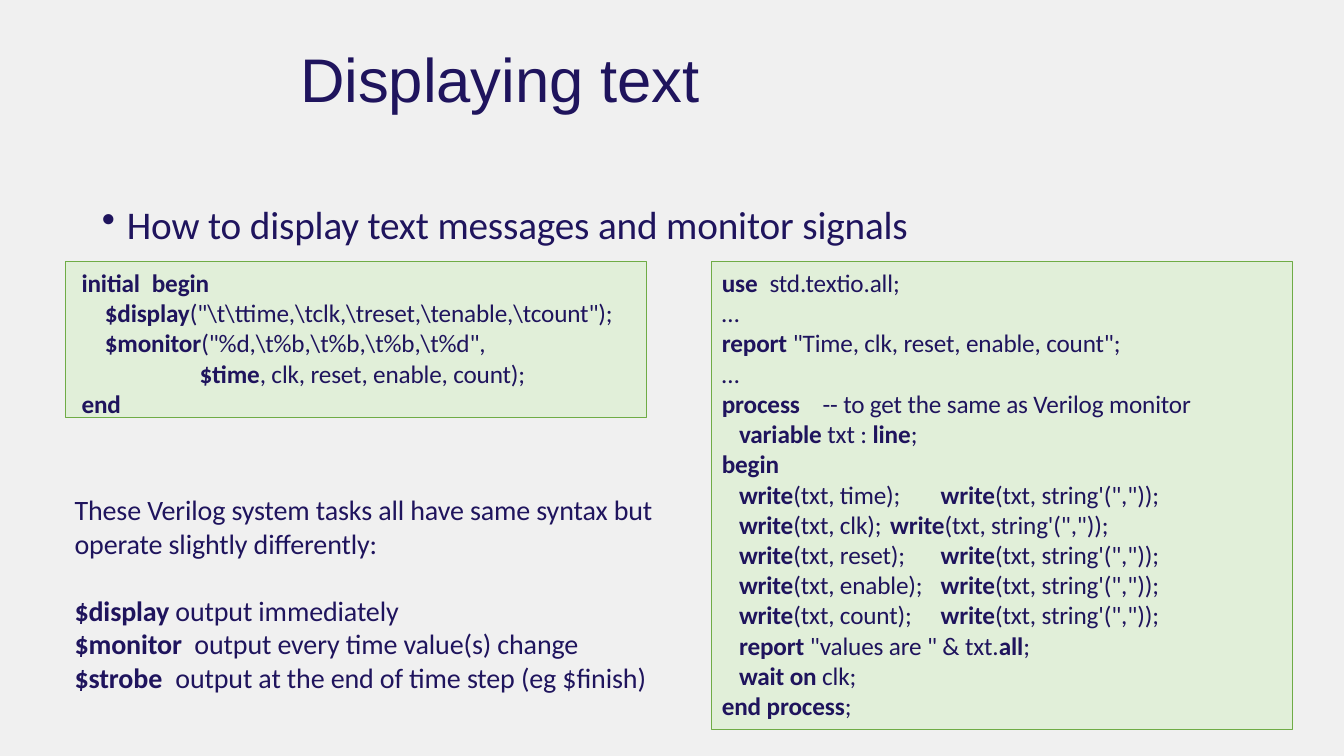
from pptx import Presentation
from pptx.dml.color import RGBColor
from pptx.enum.shapes import MSO_SHAPE
from pptx.enum.text import MSO_ANCHOR, MSO_AUTO_SIZE, PP_ALIGN
from pptx.oxml.ns import qn
from pptx.util import Inches, Pt
from lxml import etree

RECTANGLE = MSO_SHAPE.RECTANGLE
TOP, LEFT, NO_FIT = MSO_ANCHOR.TOP, PP_ALIGN.LEFT, MSO_AUTO_SIZE.NONE
NAVY = RGBColor(0x1F, 0x14, 0x5D)
PALE_GREEN = RGBColor(0xE1, 0xEF, 0xD9)
GREEN = RGBColor(0x6F, 0xAC, 0x46)
PAPER = RGBColor(0xF0, 0xF0, 0xF0)
TITLE_ONLY = 5
TIGHT, WIDE = -0.1, 4.3  # letter spacing in points


class SlideBuilder:
    """Holds the style and the slide. In text, | toggles bold and ~ is a wide space."""

    def __init__(self, slide):
        self.slide = slide
        fill = slide.background.fill
        fill.solid()
        fill.fore_color.rgb = PAPER

    def add_run(self, paragraph, text, size, font, bold, spacing=TIGHT):
        run = paragraph.add_run()
        run.text = text
        style = {"size": Pt(size), "name": font, "bold": bold}
        for attribute, value in style.items():
            setattr(run.font, attribute, value)
        run.font.color.rgb = NAVY
        run._r.get_or_add_rPr().set("spc", str(round(spacing * 100)))

    def fill_frame(self, frame, lines, size, font="Calibri", inset=0.03,
                   line_height=None, bullet=None):
        """Each line is (indent, text) or (indent, text, tab position)."""
        frame_format = {
            "margin_left": 0, "margin_right": 0, "margin_bottom": 0,
            "margin_top": Inches(inset), "word_wrap": True,
            "auto_size": NO_FIT, "vertical_anchor": TOP,
        }
        for attribute, value in frame_format.items():
            setattr(frame, attribute, value)
        for number, (indent, text, *tabs) in enumerate(lines):
            paragraph = frame.add_paragraph() if number else frame.paragraphs[0]
            properties = paragraph._p.get_or_add_pPr()
            properties.set("marL", str(Inches(indent)))
            properties.set("indent", str(Inches(-0.25 if bullet else 0)))
            if bullet:
                etree.SubElement(properties, qn("a:buChar"), char=bullet)
            if tabs:
                tab_list = etree.SubElement(properties, qn("a:tabLst"))
                for tab in tabs:
                    etree.SubElement(tab_list, qn("a:tab"),
                                     pos=str(Inches(tab)), algn="l")
            paragraph.alignment = LEFT
            paragraph.space_before = Pt(0)
            if line_height:
                paragraph.line_spacing = Pt(line_height)
            for part, section in enumerate(text.split("|")):
                bold = part % 2 == 1
                for piece, words in enumerate(section.split("~")):
                    if piece:
                        self.add_run(paragraph, " ", size, font, bold, WIDE)
                    if words:
                        self.add_run(paragraph, words, size, font, bold)

    def title(self, box, text):
        title = self.slide.shapes.title
        title.left, title.top, title.width, title.height = map(Inches, box)
        self.fill_frame(title.text_frame, [(0.01, text)], 44, "Arial")

    def text(self, box, lines, size, **options):
        textbox = self.slide.shapes.add_textbox(*map(Inches, box))
        self.fill_frame(textbox.text_frame, lines, size, **options)

    def code(self, box, lines):
        panel = self.slide.shapes.add_shape(RECTANGLE, *map(Inches, box))
        panel.shadow.inherit = False
        panel.fill.solid()
        panel.fill.fore_color.rgb = PALE_GREEN
        panel.line.color.rgb = GREEN
        panel.line.width = Pt(0.48)
        self.fill_frame(panel.text_frame, lines, 18, inset=0.06, line_height=21.6)


def main():
    deck = Presentation()
    deck.slide_width, deck.slide_height = Inches(13.33), Inches(7.5)
    builder = SlideBuilder(deck.slides.add_slide(deck.slide_layouts[TITLE_ONLY]))

    # Heading and topic
    builder.title((2.97, 0.38, 5.19, 0.76), "Displaying text")
    builder.text((1, 1.96, 8.1, 0.49),
                 [(0.26, "How to display text messages and monitor signals")],
                 28, bullet="•")

    # Verilog code
    builder.code((0.65, 2.59, 5.76, 1.55), [
        (0.16, "|initial~begin|"),
        (0.39, r'|$display|("\t\ttime,\tclk,\treset,\tenable,\tcount");'),
        (0.39, r'|$monitor|("%d,\t%b,\t%b,\t%b,\t%d",'),
        (1.33, "|$time|, clk, reset, enable, count);"),
        (0.16, "|end|"),
    ])

    # VHDL code
    margin, body = 0.1, 0.27
    signals = ["time", "clk", "reset", "enable", "count"]
    signal_lines = [
        (body, f"|write|(txt, {signal});\t|write|(txt, string'(\",\"));", 2.29)
        for signal in signals
    ]
    builder.code((7.06, 2.59, 5.76, 4.65), [
        (margin, "|use|~std.textio.all;"),
        (margin, "…"),
        (margin, '|report |"Time, clk, reset, enable, count";'),
        (margin, "…"),
        (margin, "|process|\t-- to get the same as Verilog monitor", 1.28),
        (body, "|variable |txt : |line|;"),
        (margin, "|begin|"),
        *signal_lines,
        (body, '|report |"values are " & txt.|all|;'),
        (body, "|wait on |clk;"),
        (margin, "|end process|;"),
    ])

    # System tasks
    builder.text((0.73, 4.86, 5.93, 0.7), [
        (0.01, "These Verilog system tasks all have same syntax but"),
        (0.01, "operate slightly differently:"),
    ], 20)
    tasks = [
        "|$display|\toutput immediately",
        "|$monitor|~output every time value(s) change",
        "|$strobe|\toutput at the end of time step (eg $finish)",
    ]
    for row, task in enumerate(tasks):
        builder.text((0.73, 5.86 + 0.33 * row, 6.1, 0.36), [(0.01, task, 1.2)], 20)

    deck.save("out.pptx")


if __name__ == "__main__":
    main()
